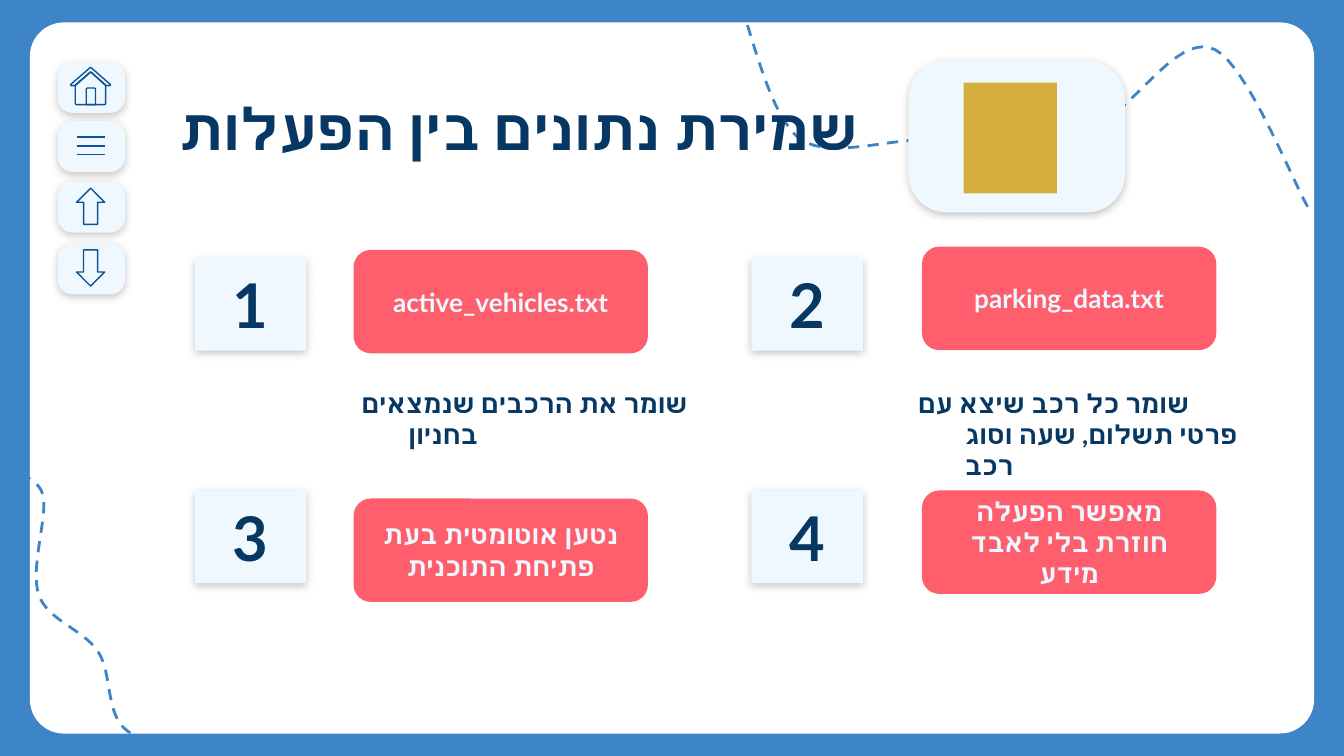
from lxml import etree
from pptx import Presentation
from pptx.dml.color import RGBColor
from pptx.enum.dml import MSO_LINE
from pptx.enum.shapes import MSO_CONNECTOR, MSO_SHAPE
from pptx.enum.text import MSO_ANCHOR, PP_ALIGN
from pptx.oxml import parse_xml
from pptx.oxml.ns import nsdecls, qn
from pptx.util import Pt

BLUE = RGBColor(0x3D, 0x85, 0xC6)
WHITE = RGBColor(0xFF, 0xFF, 0xFF)
ICE = RGBColor(0xF0, 0xF8, 0xFF)
NAVY = RGBColor(0x07, 0x37, 0x63)
ICON = RGBColor(0x0B, 0x53, 0x94)
CORAL = RGBColor(0xFF, 0x5F, 0x6C)
GOLD = RGBColor(0xD4, 0xAF, 0x3D)
FONT = "Lato"
RECT, ROUND = MSO_SHAPE.RECTANGLE, MSO_SHAPE.ROUNDED_RECTANGLE
CARD, ARROW = MSO_SHAPE.FLOWCHART_ALTERNATE_PROCESS, MSO_SHAPE.DOWN_ARROW
LEFT, CENTER = PP_ALIGN.LEFT, PP_ALIGN.CENTER
TOP, MIDDLE = MSO_ANCHOR.TOP, MSO_ANCHOR.MIDDLE
DASH, STRAIGHT = MSO_LINE.DASH, MSO_CONNECTOR.STRAIGHT

# All positions are in points.
TITLE = "שמירת נתונים בין הפעלות"
NUMBERS = [("1", 104.4, 138.2), ("2", 402.5, 138.2),
           ("3", 104.4, 262.8), ("4", 402.5, 262.8)]
CARDS = [("active_vehicles.txt", 189.4, 133.9),
         ("parking_data.txt", 493.9, 132.2),
         ("נטען אוטומטית בעת פתיחת התוכנית", 189.4, 267.1),
         ("מאפשר הפעלה חוזרת בלי לאבד מידע", 493.9, 262.8)]
NOTES = [("שומר את הרכבים שנמצאים בחניון", 175.7),
         ("שומר כל רכב שיצא עם פרטי תשלום, שעה וסוג רכב", 473.8)]
BUTTON_TOPS = [33.1, 64.8, 97.2, 130.3]
MENU_LINES = [73.4, 78.3, 82.9]
HOUSE = [
    [(48.3, 38.7), (40.3, 45.6), (40.3, 55.6), (40.8, 56.1), (56.1, 56.1),
     (56.6, 55.6), (56.6, 45.6), (48.8, 38.7)],
    [(46.7, 47.2), (46.2, 47.7), (46.2, 56.1), (51.2, 56.1), (51.2, 47.7),
     (50.7, 47.2)],
    [(48.4, 36.2), (37.8, 45.4), (38, 45.9), (40.4, 45.9), (48.4, 38.8),
     (48.9, 38.8), (56.7, 45.9), (59.1, 45.9), (59.3, 45.4), (48.8, 36.2)],
]
# Each curve: start point, then two control points and an end point per segment.
CURVES = [
    [(0.7, 251.3),
     (4.3, 253.4), (19.4, 253.4), (23, 265),
     (25.9, 276.5), (15.8, 304.6), (20.9, 319),
     (25.9, 332.6), (44.6, 337), (52.6, 349.2),
     (60.5, 361.4), (56.2, 383), (68.4, 391.7),
     (80.6, 401), (114.5, 401.8), (125.3, 403.2)],
    [(396.7, 3.6),
     (402.5, 15.1), (411.8, 62.6), (429.1, 74.9),
     (447.1, 86.4), (484.6, 71.3), (504, 75.6),
     (522.7, 80.6), (528.5, 103.7), (544.3, 101.5),
     (559.4, 98.6), (578.9, 73.4), (596.2, 61.2),
     (614.2, 48.2), (633.6, 18), (650.9, 26.6),
     (668.2, 35.3), (691.9, 95.8), (700.6, 110.9)],
]


def set_line(shape, color, width, dash=None):
    shape.line.color.rgb = color
    shape.line.width = Pt(width)
    if dash:
        shape.line.dash_style = dash


def add_shadow(shape):
    """Give the shape a soft shadow falling straight down."""
    sp_pr = shape._element.spPr
    for old in sp_pr.findall(qn("a:effectLst")):
        sp_pr.remove(old)
    sp_pr.append(parse_xml(
        f'<a:effectLst {nsdecls("a")}><a:outerShdw blurRad="{Pt(4.5)}" '
        f'dist="{Pt(1.5)}" dir="5400000" algn="bl" rotWithShape="0">'
        '<a:srgbClr val="000000"><a:alpha val="21000"/></a:srgbClr>'
        '</a:outerShdw></a:effectLst>'))


def add_box(s, kind, x, y, w, h, fill=None, outline=None, adj=None, shadow=False):
    sp = s.shapes.add_shape(kind, Pt(x), Pt(y), Pt(w), Pt(h))
    sp.shadow.inherit = False
    if fill is None:
        sp.fill.background()
    else:
        sp.fill.solid()
        sp.fill.fore_color.rgb = fill
    if outline is None:
        sp.line.fill.background()
    else:
        set_line(sp, outline, 0.75)
    if adj is not None:
        sp.adjustments[0] = adj
    if shadow:
        add_shadow(sp)
    return sp


def add_path(s, points, color, width, dash=None, close=False):
    pts = [(Pt(x), Pt(y)) for x, y in points]
    builder = s.shapes.build_freeform(*pts[0])
    builder.add_line_segments(pts[1:], close=close)
    sp = builder.convert_to_shape()
    sp.shadow.inherit = False
    sp.fill.background()
    set_line(sp, color, width, dash)


def trace_bezier(nodes, steps=16):
    """Return points along a chain of cubic Bezier segments."""
    points = [nodes[0]]
    for i in range(0, len(nodes) - 1, 3):
        segment = nodes[i:i + 4]
        for k in range(1, steps + 1):
            t = k / steps
            weights = ((1 - t) ** 3, 3 * t * (1 - t) ** 2, 3 * t * t * (1 - t), t ** 3)
            points.append(tuple(sum(w * n[axis] for w, n in zip(weights, segment))
                                for axis in (0, 1)))
    return points


def write(shape, text, size=14, color=NAVY, align=LEFT, anchor=TOP,
          inset=7.2, inset_y=7.2, margin=0, indent=0):
    tf = shape.text_frame
    tf.word_wrap = True
    tf.vertical_anchor = anchor
    tf.margin_left = tf.margin_right = Pt(inset)
    tf.margin_top = tf.margin_bottom = Pt(inset_y)
    p = tf.paragraphs[0]
    p.alignment = align
    p_pr = p._p.get_or_add_pPr()
    p_pr.set("marL", str(Pt(margin)))
    p_pr.set("indent", str(Pt(indent)))
    r = p.add_run()
    r.text = text
    r.font.size = Pt(size)
    r.font.bold = True
    r.font.name = FONT
    r.font.color.rgb = color
    etree.SubElement(r.font._element, qn("a:cs")).set("typeface", FONT)


def add_text(s, x, y, w, h, text, **fmt):
    write(s.shapes.add_textbox(Pt(x), Pt(y), Pt(w), Pt(h)), text, **fmt)


def add_navigation(s):
    for top in BUTTON_TOPS:
        add_box(s, ROUND, 31, top, 36, 27.4, ICE, adj=0.291, shadow=True)
    for outline in HOUSE:
        add_path(s, outline, ICON, 0.75, close=True)
    for y in MENU_LINES:
        line = s.shapes.add_connector(STRAIGHT, Pt(41), Pt(y), Pt(56.2), Pt(y))
        set_line(line, ICON, 0.75)
        etree.SubElement(line._element.spPr, qn("a:effectLst"))
    for top, turn in zip(BUTTON_TOPS[2:], (180, 0)):
        arrow = add_box(s, ARROW, 41, top + 3.6, 15.1, 19.4, outline=ICON)
        arrow.rotation = turn


def main():
    prs = Presentation()
    prs.slide_width, prs.slide_height = Pt(720), Pt(405)
    s = prs.slides.add_slide(prs.slide_layouts[6])
    s.background.fill.solid()
    s.background.fill.fore_color.rgb = BLUE

    add_box(s, ROUND, 16, 12, 688, 381, WHITE, adj=0.048)
    for curve in CURVES:
        add_path(s, trace_bezier(curve), BLUE, 1.5, DASH)
    add_navigation(s)

    for text, x in NOTES:
        add_text(s, x, 200.2, 202.3, 47.5, text, margin=36, indent=-25.2)
    add_text(s, 89.3, 42.5, 573.8, 49.7, TITLE, size=31)

    add_box(s, ROUND, 486.7, 32.4, 115.9, 81.4, ICE, adj=0.251, shadow=True)
    add_box(s, RECT, 516.2, 44.3, 50, 59.4, GOLD)

    for text, x, y in NUMBERS:
        badge = add_box(s, RECT, x, y, 59.8, 49.7, ICE, shadow=True)
        write(badge, text, size=33, align=CENTER, anchor=MIDDLE)
    for text, x, y in CARDS:
        card = add_box(s, CARD, x, y, 157.7, 55.4, CORAL)
        write(card, text, color=ICE, align=CENTER, anchor=MIDDLE, inset_y=3.6)

    prs.save("out.pptx")


if __name__ == "__main__":
    main()
